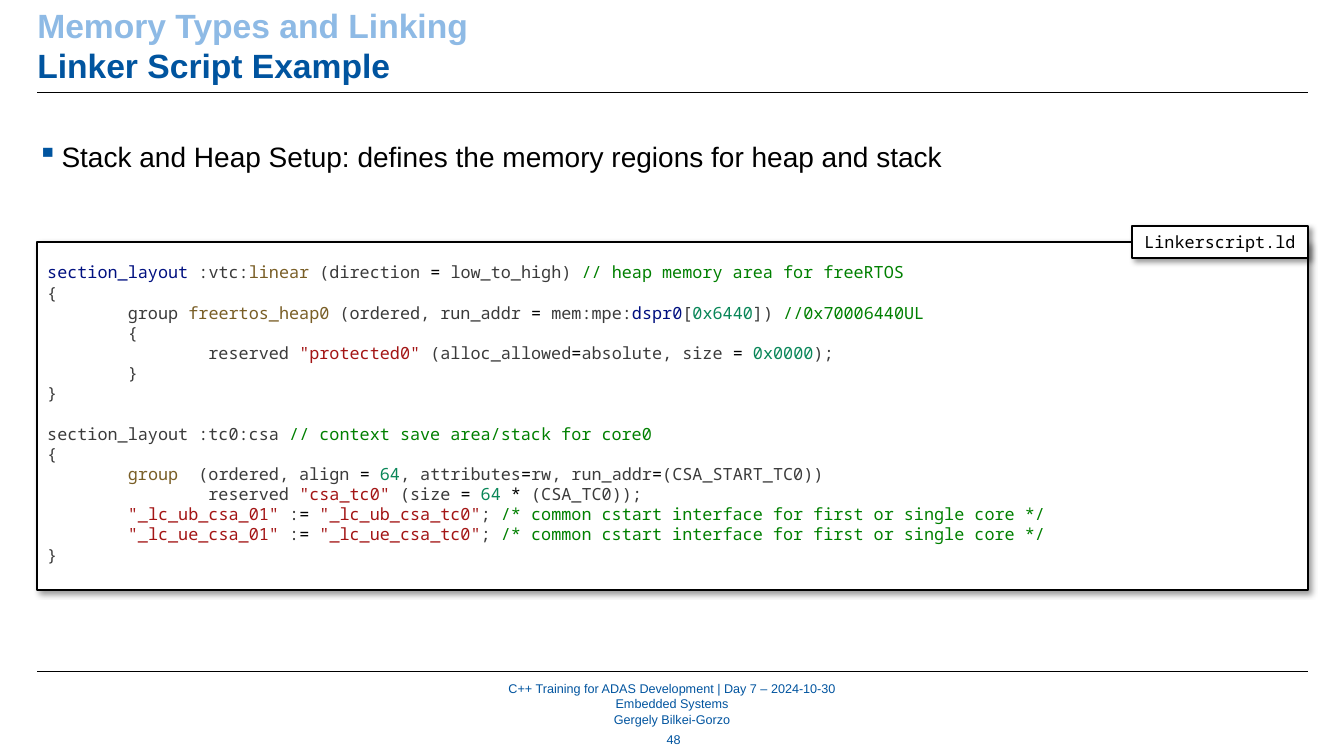
from lxml import etree
from pptx import Presentation
from pptx import util as u
from pptx.dml.color import RGBColor
from pptx.enum import shapes, text
from pptx.oxml import ns

PX = 9144  # 100 px to the inch
HUE = {"black": "000000", "white": "FFFFFF", "blue": "00549F", "pale": "8EBAE5"}
# Syntax colours: plain, name, function, operator, value, string, comment
INK = {"p": "3B3B3B", "n": "001080", "f": "795E26", "o": "000000",
       "v": "098658", "s": "A31515", "c": "008000"}
MONO = "Noto Sans Mono"
MID = text.PP_ALIGN.CENTER

# Each token is "ink:text"; tokens are parted by |
HEAP = [
    "n:section_layout|p: :vtc:|f:linear|p: (direction |o:= |p:low_to_high) "
    "|c:// heap memory area for freeRTOS",
    "p:{",
    "p:        group |f:freertos_heap0|p: (ordered, run_addr |o:=|p: mem:mpe:"
    "|n:dspr0|p:[|v:0x6440|p:])|c: //0x70006440UL",
    "p:        {",
    'p:                reserved |s:"protected0"|p: (alloc_allowed|o:='
    "|p:absolute, size |o:= |v:0x0000|p:);",
    "p:        }",
    "p:}",
]
STACK = [
    "p:section_layout :tc0:csa |c:// context save area/stack for core0",
    "p:{",
    "p:        |f:group|p:  (ordered, align |o:= |v:64|p:, attributes|o:="
    "|p:rw, run_addr|o:=|p:(CSA_START_TC0))",
    'p:                reserved |s:"csa_tc0"|p: (size |o:= |v:64 |o:*|p: (CSA_TC0));',
    *(f'p:        |s:"_lc_{end}_csa_01"|p: :|o:= |s:"_lc_{end}_csa_tc0"|p:;'
      "|c: /* common cstart interface for first or single core */"
      for end in ("ub", "ue")),
    "p:}",
]


def rgb(code):
    return RGBColor.from_string(code)


def px(*nums):
    return [u.Emu(n * PX) for n in nums]


def style(para, size, color, font="Arial", bold=False):
    face = para.font
    face.size, face.name, face.bold = u.Pt(size), font, bold
    face.color.rgb = rgb(color)


def setup(frame, pads=(0, 0, 0, 0), anchor=text.MSO_ANCHOR.TOP, wrap=True):
    frame.word_wrap = wrap
    frame.vertical_anchor = anchor
    (frame.margin_left, frame.margin_top,
     frame.margin_right, frame.margin_bottom) = px(*pads)


def paras(frame, lines):
    """Yield one paragraph for each line, with the line."""
    for i, line in enumerate(lines):
        yield (frame.add_paragraph() if i else frame.paragraphs[0]), line


def rule(slide, x, y, w):
    line = slide.shapes.add_connector(
        shapes.MSO_CONNECTOR.STRAIGHT, *px(x, y, x + w, y))
    line.line.color.rgb = rgb(HUE["black"])
    line.line.width = u.Pt(0.5)
    etree.SubElement(line._element.spPr, ns.qn("a:effectLst"))


def title(slide, x, y, w, h):
    frame = slide.shapes.add_textbox(*px(x, y, w, h)).text_frame
    setup(frame)
    lines = [("Memory Types and Linking", "pale"), ("Linker Script Example", "blue")]
    for para, (line, hue) in paras(frame, lines):
        para.text = line
        para.line_spacing = u.Pt(28.6)
        style(para, 24, HUE[hue], bold=True)


def bullet(slide, x, y, w, h):
    frame = slide.shapes.add_textbox(*px(x, y, w, h)).text_frame
    setup(frame)
    para = frame.paragraphs[0]
    para.text = "Stack and Heap Setup: defines the memory regions for heap and stack"
    props = para._p.get_or_add_pPr()
    props.set("marL", str(24 * PX))
    props.set("indent", str(-24 * PX))
    tint = etree.SubElement(props, ns.qn("a:buClr"))
    etree.SubElement(tint, ns.qn("a:srgbClr"), val=HUE["blue"])
    etree.SubElement(props, ns.qn("a:buChar"), char="▪")
    style(para, 20, HUE["black"])


def panel(slide, x, y, w, h):
    """Add a white box with a black edge and a soft shadow."""
    box = slide.shapes.add_shape(shapes.MSO_SHAPE.RECTANGLE, *px(x, y, w, h))
    box.fill.solid()
    box.fill.fore_color.rgb = rgb(HUE["white"])
    box.line.color.rgb = rgb(HUE["black"])
    box.line.width = u.Pt(1.5)
    box.shadow.inherit = False
    glow = etree.SubElement(
        box._element.spPr.find(ns.qn("a:effectLst")), ns.qn("a:outerShdw"),
        blurRad=str(int(u.Pt(4))), dist=str(int(u.Pt(3))), dir=str(45 * 60000),
        algn="tl", rotWithShape="0")
    tint = etree.SubElement(glow, ns.qn("a:srgbClr"), val=HUE["black"])
    etree.SubElement(tint, ns.qn("a:alpha"), val="40000")
    return box.text_frame


def listing(slide, x, y, w, h):
    frame = panel(slide, x, y, w, h)
    setup(frame, (10, 20, 10, 5))
    for para, line in paras(frame, [*HEAP, "", *STACK]):
        para.alignment = text.PP_ALIGN.LEFT
        para.line_spacing = u.Pt(14.4)
        style(para, 12, INK["p"], MONO)
        for token in line.split("|"):
            ink, _, part = token.partition(":")
            if part:
                run = para.add_run()
                run.text = part
                run.font.color.rgb = rgb(INK[ink])


def tab(slide, x, y, w, h):
    frame = panel(slide, x, y, w, h)
    setup(frame, (10, 5, 10, 5), text.MSO_ANCHOR.MIDDLE, wrap=False)
    para = frame.paragraphs[0]
    para.text = "Linkerscript.ld"
    para.alignment = MID
    style(para, 12, HUE["black"], MONO)


def footer(slide, x, y, w, h, lines):
    frame = slide.shapes.add_textbox(*px(x, y, w, h)).text_frame
    setup(frame, anchor=text.MSO_ANCHOR.MIDDLE)
    for para, line in paras(frame, lines):
        para.text = line
        para.alignment = MID
        para.line_spacing = u.Pt(11)
        style(para, 9, HUE["blue"])


def main():
    deck = Presentation()
    deck.slide_width, deck.slide_height = px(1333, 750)
    slide = deck.slides.add_slide(deck.slide_layouts[6])
    left, wide = 37, 1260
    for y in (92, 666):
        rule(slide, left, y, wide)
    title(slide, left, 5, wide, 81)
    bullet(slide, left, 138, 929, 63)
    listing(slide, left, 240, wide, 345)
    tab(slide, left + wide - 174, 224, 174, 32)
    footer(slide, 343, 675, 647, 46, [
        "C++ Training for ADAS Development | Day 7 – 2024-10-30",
        "Embedded Systems", "Gergely Bilkei-Gorzo"])
    footer(slide, 642, 721, 52, 26, ["48"])
    deck.save("out.pptx")


if __name__ == "__main__":
    main()
